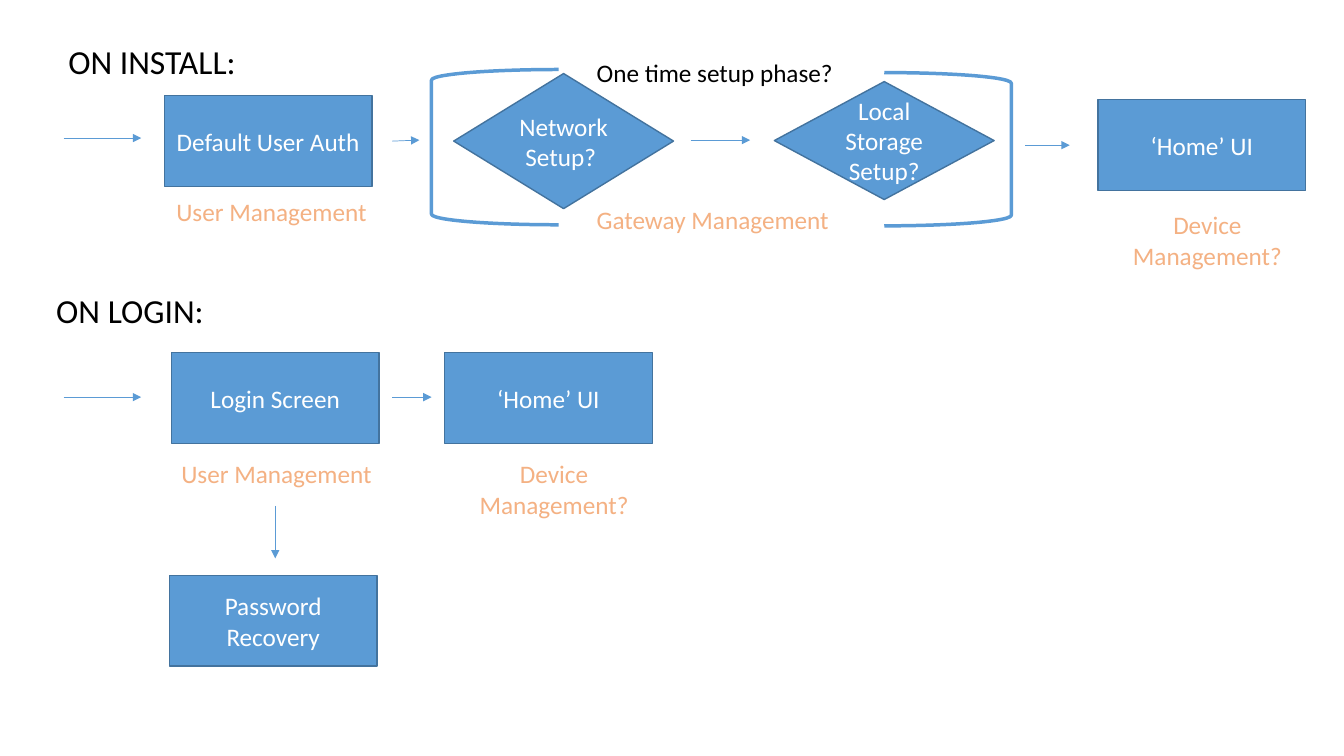
from dataclasses import dataclass

from lxml import etree
from pptx import Presentation
from pptx import util as u
from pptx.dml.color import RGBColor
from pptx.enum import shapes, text
from pptx.oxml.ns import qn

Kind = shapes.MSO_SHAPE
Align = text.PP_ALIGN


@dataclass(frozen=True)
class Theme:
    font: str = "Calibri"
    blue: str = "5B9BD5"
    edge: str = "43739E"
    peach: str = "F4B183"
    black: str = "000000"
    white: str = "FFFFFF"
    head: int = 24
    body: int = 18
    thin: float = 0.5
    rim: float = 1
    thick: float = 2.5


def write(frame, words, size, color, align=Align.LEFT, wrap=True, font="Calibri"):
    frame.word_wrap = wrap
    par = frame.paragraphs[0]
    par.alignment = align
    run = par.add_run()
    run.text = words
    run.font.name = font
    run.font.size = u.Pt(size)
    run.font.color.rgb = RGBColor.from_string(color)


class Board:
    def __init__(self, slide, theme):
        self.items = slide.shapes
        self.theme = theme

    def shape(self, kind, box, line, width, fill=None):
        item = self.items.add_shape(kind, *map(u.Inches, box))
        item.shadow.inherit = False
        if fill:
            item.fill.solid()
            item.fill.fore_color.rgb = RGBColor.from_string(fill)
        else:
            item.fill.background()
        item.line.color.rgb = RGBColor.from_string(line)
        item.line.width = u.Pt(width)
        return item

    def node(self, words, left, top, wide=2.06, high=0.9, kind=Kind.RECTANGLE):
        t = self.theme
        item = self.shape(kind, (left, top, wide, high), t.edge, t.rim, t.blue)
        item.text_frame.vertical_anchor = text.MSO_ANCHOR.MIDDLE
        write(item.text_frame, words, t.body, t.white, Align.CENTER, font=t.font)

    def bracket(self, left, top, wide, high, turn=0):
        t = self.theme
        item = self.shape(Kind.LEFT_BRACKET, (left, top, wide, high), t.blue, t.thick)
        item.rotation = turn

    def label(self, words, left, top, wide, high=0.4, size=None, color=None, **form):
        t = self.theme
        item = self.items.add_textbox(*map(u.Inches, (left, top, wide, high)))
        write(item.text_frame, words, size or t.body, color or t.peach,
              font=t.font, **form)
        item.text_frame.auto_size = text.MSO_AUTO_SIZE.SHAPE_TO_FIT_TEXT

    def title(self, words, left, top):
        self.label(words, left, top, 3.06, 0.5, self.theme.head, self.theme.black)

    def arrow(self, *ends):
        item = self.items.add_connector(
            shapes.MSO_CONNECTOR.STRAIGHT, *map(u.Inches, ends))
        item.line.color.rgb = RGBColor.from_string(self.theme.blue)
        item.line.width = u.Pt(self.theme.thin)
        tip = etree.SubElement(item.line._get_or_add_ln(), qn("a:tailEnd"))
        tip.set("type", "triangle")
        etree.SubElement(item._element.spPr, qn("a:effectLst"))


deck = Presentation()
deck.slide_width, deck.slide_height = u.Inches(13.33), u.Inches(7.5)
theme = Theme()
board = Board(deck.slides.add_slide(deck.slide_layouts[6]), theme)

# Setup phase brackets
board.bracket(8.77, 0.72, 1.26, 1.52, turn=180)
board.bracket(4.28, 0.69, 1.26, 1.54)

# Headings and notes
board.title("ON INSTALL:", 0.58, 0.36)
board.title("ON LOGIN:", 0.46, 2.83)
board.label("One time setup phase?", 5.82, 0.52, 2.65, color=theme.black)
board.label("Gateway Management", 5.82, 1.98, 2.53, wrap=False)
for left, top in ((1.65, 1.9), (1.7, 4.5)):
    board.label("User Management", left, top, 2.11, wrap=False)
for left, top in ((11, 2.03), (4.52, 4.5)):
    board.label("Device Management?", left, top, 1.95, 0.71, align=Align.CENTER)

# Steps
for words, left, top in (
    ("Default User Auth", 1.63, 0.95),
    ("‘Home’ UI", 10.89, 0.99),
    ("Login Screen", 1.7, 3.5),
    ("‘Home’ UI", 4.41, 3.5),
    ("Password Recovery", 1.68, 5.71),
):
    board.node(words, left, top)

# Decisions
board.node("Network Setup? ", 4.5, 0.73, 2.18, 1.34, Kind.DIAMOND)
board.node("Local Storage Setup?", 7.68, 0.81, 2.18, 1.17, Kind.DIAMOND)

# Flow arrows
for ends in (
    (0.63, 1.37, 1.4, 1.37),
    (3.89, 1.4, 4.16, 1.39),
    (6.85, 1.39, 7.44, 1.39),
    (10.17, 1.44, 10.61, 1.44),
    (0.63, 3.94, 1.4, 3.94),
    (3.89, 3.94, 4.28, 3.94),
    (2.73, 5.02, 2.73, 5.54),
):
    board.arrow(*ends)

deck.save("out.pptx")
